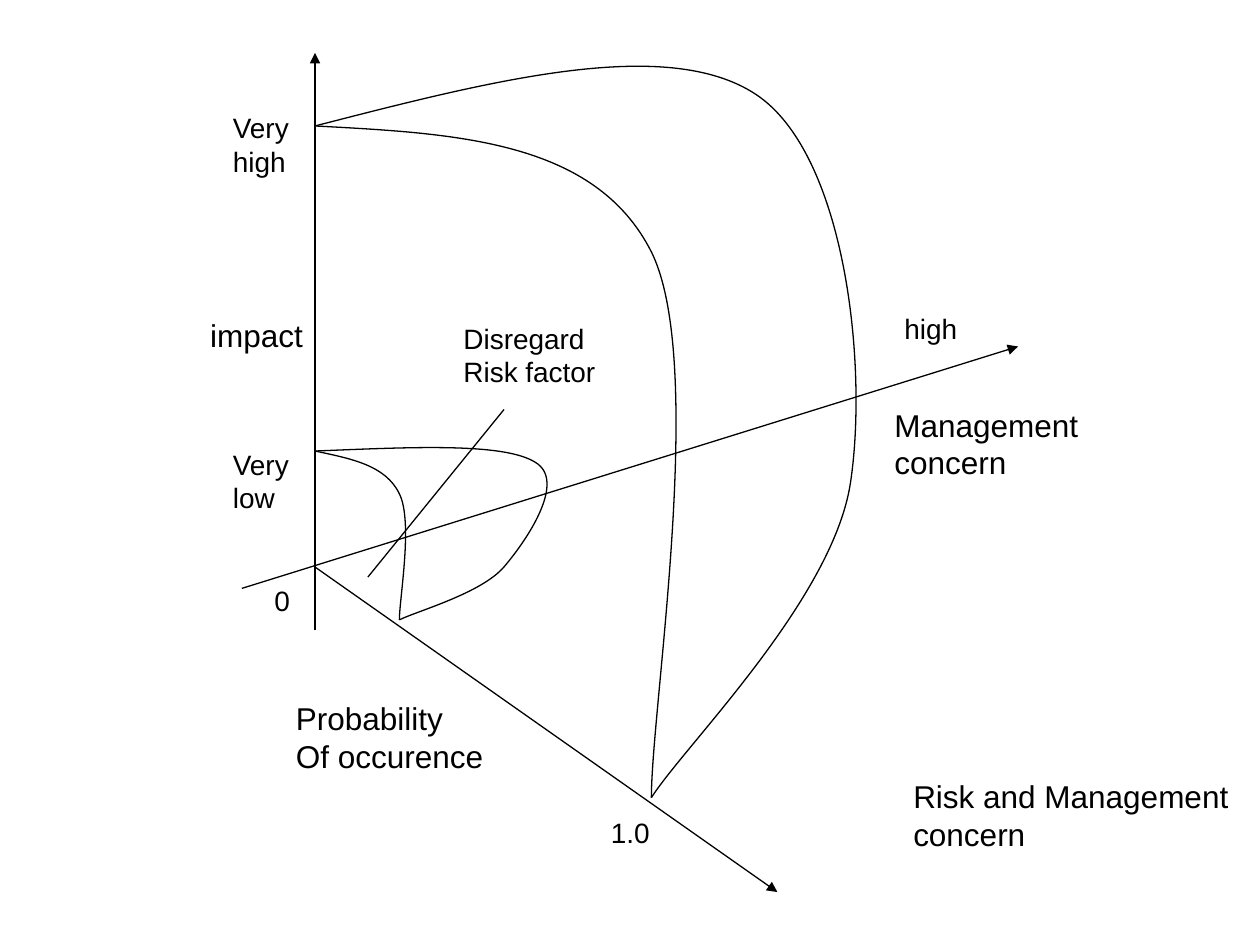
from lxml import etree
from pptx import Presentation
from pptx.dml.color import RGBColor
from pptx.enum.shapes import MSO_CONNECTOR
from pptx.enum.text import MSO_AUTO_SIZE
from pptx.oxml.ns import qn
from pptx.util import Inches, Pt

STRAIGHT = MSO_CONNECTOR.STRAIGHT
FIT_SHAPE = MSO_AUTO_SIZE.SHAPE_TO_FIT_TEXT
BLACK = RGBColor(0, 0, 0)
WHITE = RGBColor(255, 255, 255)
FONT = "Arial"
LINE_WIDTH = Pt(0.75)

AXES = [
    ((0, 0.5), (0, -4.08)),
    ((0, 0), (3.67, 2.58)),
    ((-0.58, 0.17), (5.58, -1.75)),
]
POINTER = ((0.42, 0.08), (1.5, -1.25))

LOW_START, LOW_END = (0, -0.92), (0.67, 0.42)
HIGH_START, HIGH_END = (0, -3.5), (2.67, 1.83)
CURVES = [
    [LOW_START, (0.28, -0.86), (0.56, -0.81), (0.67, -0.58),
     (0.78, -0.36), (0.67, 0.25), LOW_END],
    [LOW_START, (0.75, -0.95), (1.5, -0.99), (1.75, -0.83),
     (2, -0.68), (1.68, -0.21), (1.5, 0),
     (1.32, 0.21), (0.81, 0.35), LOW_END],
    [HIGH_START, (1.11, -3.44), (2.22, -3.39), (2.67, -2.5),
     (3.11, -1.61), (2.67, 1.11), HIGH_END],
    [HIGH_START, (1.4, -3.86), (2.79, -4.22), (3.5, -3.75),
     (4.21, -3.28), (4.39, -1.6), (4.25, -0.67),
     (4.11, 0.26), (2.93, 1.42), HIGH_END],
]

LABELS = [
    ("Very\nhigh", -0.75, -3.67, 0.72, 16),
    ("impact", -0.93, -2.04, 0.94, 18),
    ("Very\nlow", -0.75, -1, 0.72, 16),
    ("Disregard\nRisk factor", 1.08, -2, 1.25, 16),
    ("Management\nconcern", 4.5, -1.33, 1.73, 18),
    ("high", 4.58, -2.08, 0.62, 16),
    ("0", -0.42, 0.08, 0.32, 16),
    ("1.0", 2.25, 1.92, 0.51, 16),
    ("Probability\nOf occurence", -0.25, 1, 1.69, 18),
]
HEIGHTS = {(16, 1): 0.37, (16, 2): 0.64, (18, 1): 0.4, (18, 2): 0.7}


def style_line(line):
    line.color.rgb = BLACK
    line.width = LINE_WIDTH


def add_line(s, x, y, start, end, arrow=False):
    c = s.shapes.add_connector(
        STRAIGHT, x + Inches(start[0]), y + Inches(start[1]),
        x + Inches(end[0]), y + Inches(end[1]))
    style_line(c.line)
    if arrow:
        etree.SubElement(c.line._get_or_add_ln(), qn("a:tailEnd"), type="triangle")
    etree.SubElement(c._element.spPr, qn("a:effectLst"))


def add_curve(s, x, y, points):
    pts = [(x + Inches(px), y + Inches(py)) for px, py in points]
    builder = s.shapes.build_freeform(*pts[0])
    builder.add_line_segments(pts[1:], close=False)
    sp = builder.convert_to_shape()
    sp.shadow.inherit = False
    sp.fill.background()
    style_line(sp.line)
    outline = next(sp._element.iter(qn("a:path")))
    segments = outline.findall(qn("a:lnTo"))
    for i in range(0, len(segments), 3):
        bezier = etree.SubElement(outline, qn("a:cubicBezTo"))
        for segment in segments[i:i + 3]:
            bezier.append(segment[0])
            outline.remove(segment)


def add_label(s, x, y, text, width, size):
    lines = text.split("\n")
    height = HEIGHTS[size, len(lines)]
    tf = s.shapes.add_textbox(x, y, Inches(width), Inches(height)).text_frame
    tf.word_wrap = False
    tf.auto_size = FIT_SHAPE
    tf.text = text
    for p in tf.paragraphs:
        for r in p.runs:
            r.font.color.rgb = BLACK
            for name, value in {"name": FONT, "size": Pt(size)}.items():
                setattr(r.font, name, value)


def add_risk_diagram(s, x, y):
    for start, end in AXES:
        add_line(s, x, y, start, end, arrow=True)
    for points in CURVES:
        add_curve(s, x, y, points)
    add_line(s, x, y, *POINTER)
    for text, dx, dy, width, size in LABELS:
        add_label(s, x + Inches(dx), y + Inches(dy), text, width, size)


def main():
    prs = Presentation()
    prs.slide_width, prs.slide_height = Inches(10), Inches(7.5)
    s = prs.slides.add_slide(prs.slide_layouts[6])
    s.background.fill.solid()
    s.background.fill.fore_color.rgb = WHITE
    add_risk_diagram(s, Inches(2.5), Inches(4.5))
    add_label(s, Inches(7.15), Inches(6.12), "Risk and Management\nconcern", 2.77, 18)
    prs.save("out.pptx")


if __name__ == "__main__":
    main()
